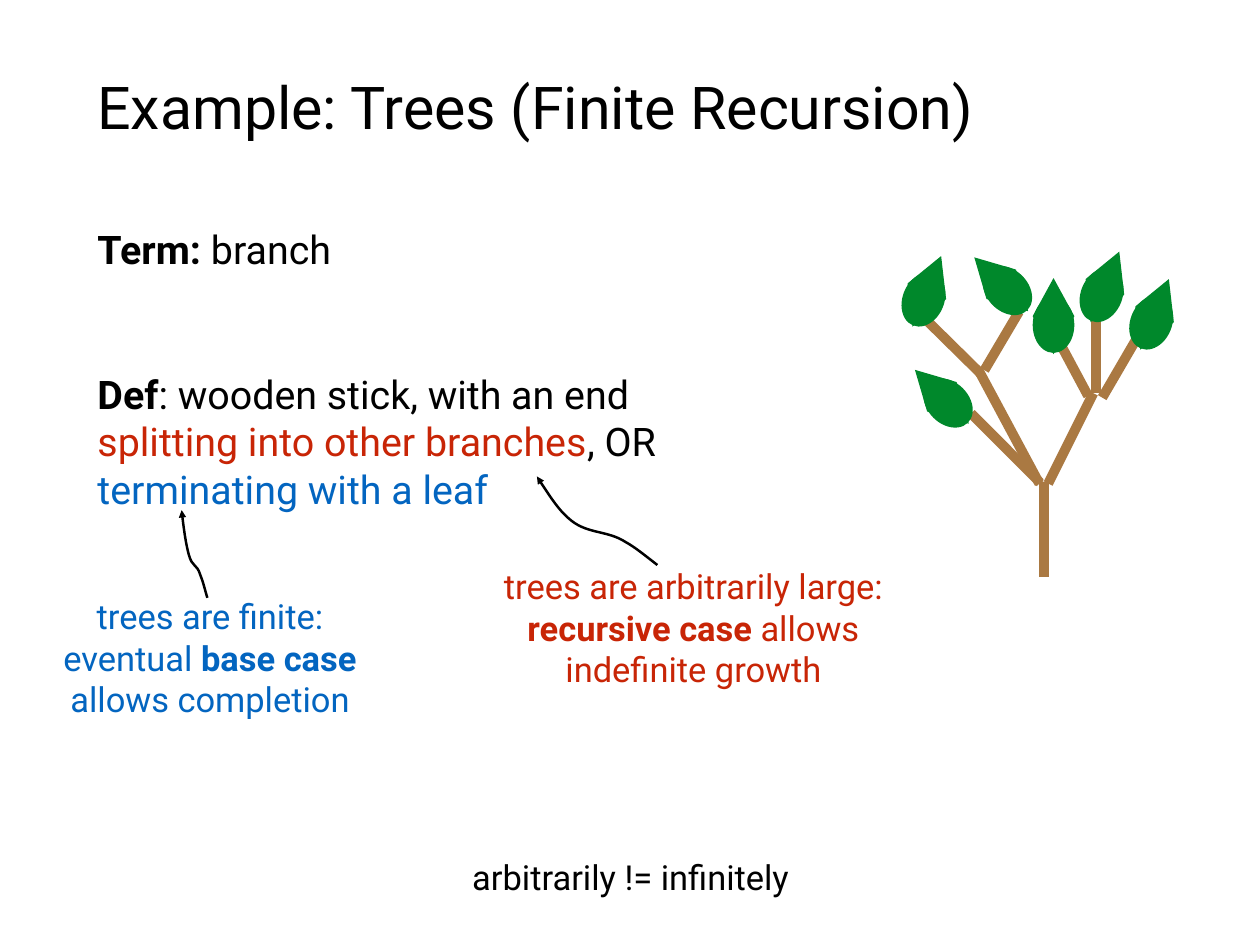
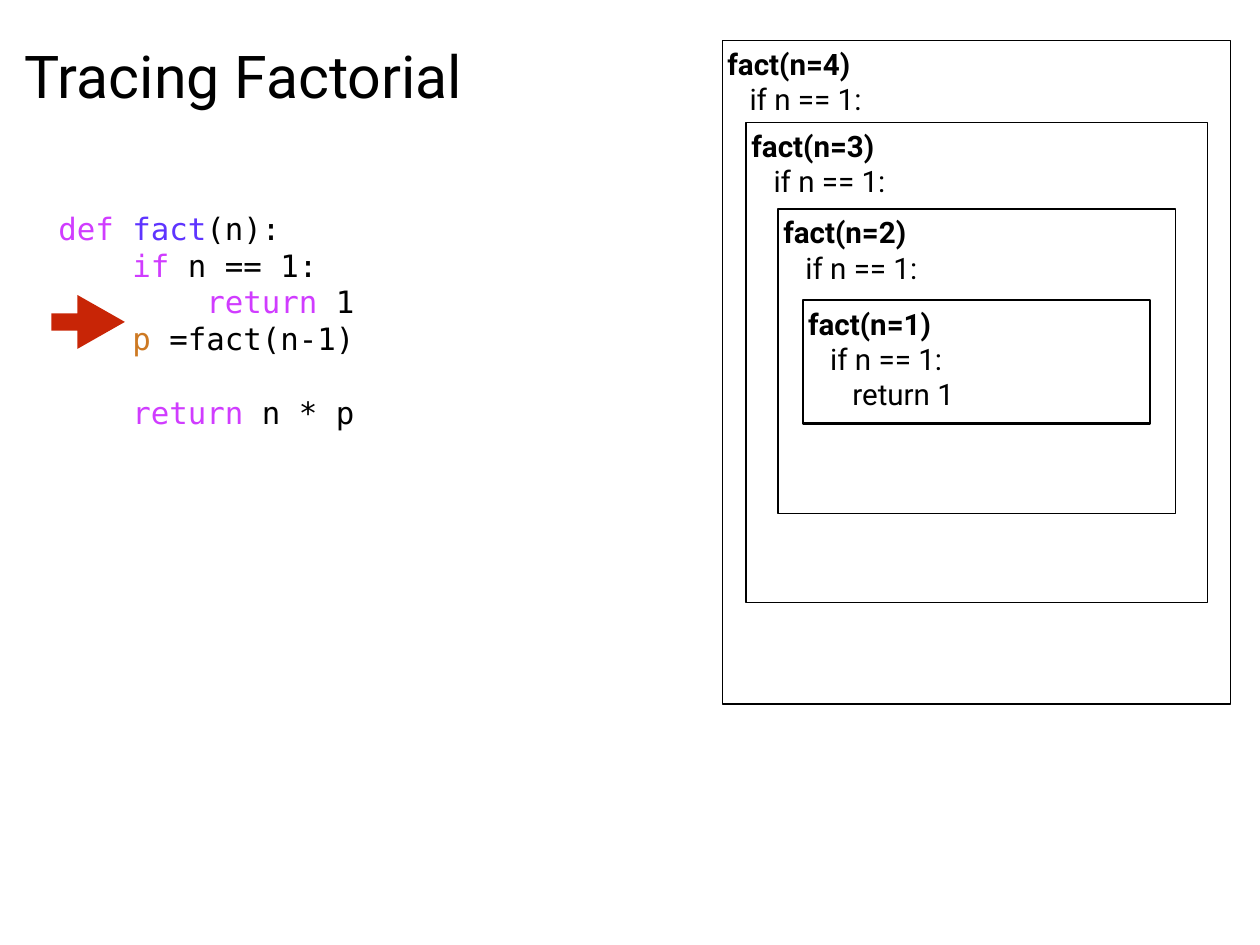
"""Build two slides on recursion: a tree definition and a factorial trace."""
from math import cos, radians, sin

from pptx import Presentation
from pptx.dml.color import RGBColor
from pptx.enum.shapes import MSO_CONNECTOR, MSO_SHAPE
from pptx.enum.text import MSO_ANCHOR, PP_ALIGN
from pptx.oxml.ns import qn
from pptx.oxml.xmlchemy import OxmlElement
from pptx.util import Inches, Pt

TOP, MID = MSO_ANCHOR.TOP, MSO_ANCHOR.MIDDLE
LEFT, MIDST = PP_ALIGN.LEFT, PP_ALIGN.CENTER
RECT, OVAL = MSO_SHAPE.RECTANGLE, MSO_SHAPE.OVAL
KITE, ARROW = MSO_SHAPE.DIAMOND, MSO_SHAPE.RIGHT_ARROW
LINE = MSO_CONNECTOR.STRAIGHT

THEME = {
    "ink": "000000", "paper": "FFFFFF", "red": "C82506", "blue": "0365C0",
    "wood": "AA7942", "leaf": "00882B", "key": "D03CFF", "name": "5E34FF",
    "var": "CD7923",
    "sans": "Roboto", "mono": "DejaVu Sans Mono",
    "title": 48, "body": 32, "note": 28, "frame": 24, "code": 25,
    "pitch": 30, "pad": 0.06,
}

TREE_TITLE = ("Example: Trees (Finite Recursion)", (1.04, 0.49, 12.14, 1.41))
TRACE_TITLE = ("Tracing Factorial", (0.22, 0.14, 6.48, 1.41))

TERM = [[("Term: ", "ink", True), ("branch", "ink")]]
DEF = [[
    ("Def", "ink", True), (": wooden stick, with an end ", "ink"),
    ("splitting into other branches", "red"), (", OR ", "ink"),
    ("terminating with a leaf", "blue"),
]]
LARGE = [
    [("trees are arbitrarily large:", "red")],
    [("recursive case", "red", True), (" allows", "red")],
    [("indefinite growth", "red")],
]
FINITE = [
    [("trees are finite:", "blue")],
    [("eventual ", "blue"), ("base case", "blue", True)],
    [("allows completion", "blue")],
]
MORAL = [[("arbitrarily != infinitely", "ink")]]

BODY = [(TERM, (1.04, 2.48, 12.14, 0.88)), (DEF, (1.04, 4.12, 6.72, 1.78))]
NOTES = [
    (LARGE, (4.07, 6.32, 7.51, 1.53), True),
    (FINITE, (0.42, 6.66, 3.9, 1.53), True),
    (MORAL, (5.24, 9.61, 3.75, 0.58), False),
]
BRANCHES = [
    (11.78, 6.51, 11.78, 5.44), (11.83, 5.46, 12.34, 4.44),
    (11.73, 5.46, 11.06, 4.21), (11.07, 4.22, 10.4, 3.56),
    (11.11, 4.18, 11.5, 3.52), (12.44, 4.49, 12.83, 3.82),
    (12.28, 4.47, 11.97, 3.89), (12.37, 4.44, 12.37, 3.59),
    (11.74, 5.45, 10.96, 4.67),
]
LEAVES = [
    (13.03, 3.55, 22.1), (12.47, 3.24, 22.1), (11.3, 3.21, 315),
    (11.89, 3.57, 0), (10.46, 3.29, 22.1), (10.63, 4.48, 315),
]
LEAF_W, TIP_H, OVAL_H, DROP = 0.47, 0.86, 0.63, 0.1
CURVES = [
    [(7.42, 6.38), (7.29, 6.28), (7.17, 6.18), (7.06, 6.12), (6.86, 5.99),
     (6.64, 6.03), (6.45, 5.88), (6.32, 5.78), (6.19, 5.58), (6.06, 5.38)],
    [(2.34, 6.75), (2.31, 6.65), (2.29, 6.56), (2.26, 6.49), (2.22, 6.36),
     (2.17, 6.41), (2.13, 6.26), (2.1, 6.15), (2.07, 5.95), (2.05, 5.76)],
]

CODE = [
    [("def ", "key"), ("fact", "name"), ("(n):", "ink")],
    [("    ", "ink"), ("if", "key"), (" n == 1:", "ink")],
    [("        ", "ink"), ("return", "key"), (" 1", "ink")],
    [("    ", "ink"), ("p", "var"), (" =fact(n-1)", "ink")],
    [("    ", "ink"), ("return", "key"), (" n * p", "ink")],
]
CODE_BOX = (0.6, 2.55, 6.84, 2.13)
POINTER = (0.58, 3.33, 0.83, 0.61)
FRAMES = [
    (4, (8.15, 0.46, 5.74, 7.49), 1), (3, (8.42, 1.38, 5.21, 5.42), 1),
    (2, (8.78, 2.36, 4.49, 3.44), 1), (1, (9.06, 3.39, 3.92, 1.39), 2),
]
STEP = 0.25


def color(key):
    return RGBColor.from_string(THEME[key])


def inches(nums):
    return [Inches(n) for n in nums]


def write(shape, paras, size, face="sans", align=LEFT, anchor=TOP, wrap=True):
    """Fill a shape with paragraphs of (text, colour, bold) runs."""
    frame = shape.text_frame
    pad = Inches(THEME["pad"])
    look = {"word_wrap": wrap, "vertical_anchor": anchor, "margin_left": pad,
            "margin_right": pad, "margin_top": pad, "margin_bottom": pad}
    for key, val in look.items():
        setattr(frame, key, val)
    for i, runs in enumerate(paras):
        para = frame.add_paragraph() if i else frame.paragraphs[0]
        para.alignment = align
        for text, tint, *bold in runs:
            run = para.add_run()
            run.text = text
            form = {"size": Pt(THEME[size]), "name": THEME[face],
                    "bold": bool(bold)}
            for key, val in form.items():
                setattr(run.font, key, val)
            run.font.color.rgb = color(tint)
    return frame.paragraphs


def label(slide, paras, box, size, **form):
    return write(slide.shapes.add_textbox(*inches(box)), paras, size, **form)


def title(slide, text, box):
    label(slide, [[(text, "ink")]], box, "title", anchor=MID)


def block(shapes, kind, box, fill, line=0, turn=0):
    """Add a flat preset shape."""
    shape = shapes.add_shape(kind, *inches(box))
    shape.shadow.inherit = False
    shape.fill.solid()
    shape.fill.fore_color.rgb = color(fill)
    shape.rotation = turn
    if line:
        shape.line.color.rgb = color("ink")
        shape.line.width = Pt(line)
    else:
        shape.line.fill.background()
    return shape


def branch(slide, ends):
    wire = slide.shapes.add_connector(LINE, *inches(ends))
    wire.line.color.rgb = color("wood")
    wire.line.width = Pt(8)
    wire._element.spPr.append(OxmlElement("a:effectLst"))


def leaf(slide, x, y, turn):
    """Join a pointed tip and a round base, both turned about the tip."""
    group = slide.shapes.add_group_shape()
    angle = radians(turn)
    base = (x - DROP * sin(angle), y + DROP * cos(angle))
    for kind, (mx, my), high in ((KITE, (x, y), TIP_H), (OVAL, base, OVAL_H)):
        box = (mx - LEAF_W / 2, my - high / 2, LEAF_W, high)
        block(group.shapes, kind, box, "leaf", turn=turn)


def curve(slide, dots):
    """Draw a Bezier arrow through every third dot."""
    first, *rest = [inches(dot) for dot in dots]
    pen = slide.shapes.build_freeform(*first, scale=1.0)
    pen.add_line_segments(rest, close=False)
    shape = pen.convert_to_shape()
    shape.shadow.inherit = False
    shape.fill.background()
    shape.line.color.rgb = color("ink")
    shape.line.width = Pt(2)
    tail = OxmlElement("a:tailEnd")
    tail.set("type", "triangle")
    shape.line._get_or_add_ln().append(tail)
    way = shape._element.xpath(".//a:path")[0]
    parts = way.findall(qn("a:lnTo"))
    for i in range(0, len(parts), 3):
        bend = OxmlElement("a:cubicBezTo")
        for part in parts[i:i + 3]:
            bend.append(part[0])
            way.remove(part)
        way.append(bend)


def call(slide, n, box, line):
    """Draw one stack frame of the factorial call."""
    lines = [f"fact(n={n})", "if n == 1:"] + ["return 1"] * (n == 1)
    paras = [[(text, "ink") if i else (text, "ink", True)]
             for i, text in enumerate(lines)]
    shape = block(slide.shapes, RECT, box, "paper", line)
    for i, para in enumerate(write(shape, paras, "frame")):
        para.level = i
        props = para._p.get_or_add_pPr()
        props.set("marL", "0")
        props.set("indent", str(Inches(STEP * i)))


def tree(slide):
    title(slide, *TREE_TITLE)
    for paras, box in BODY:
        label(slide, paras, box, "body")
    for ends in BRANCHES:
        branch(slide, ends)
    for spot in LEAVES:
        leaf(slide, *spot)
    for paras, box, wrap in NOTES:
        label(slide, paras, box, "note", align=MIDST, anchor=MID, wrap=wrap)
    for dots in CURVES:
        curve(slide, dots)


def trace(slide):
    title(slide, *TRACE_TITLE)
    rows = label(slide, CODE, CODE_BOX, "code", face="mono", anchor=MID)
    for row in rows:
        row.line_spacing = Pt(THEME["pitch"])
    rows[-1].space_before = Pt(THEME["pitch"])
    arrow = block(slide.shapes, ARROW, POINTER, "red")
    arrow.adjustments[0], arrow.adjustments[1] = 0.32, 0.88
    for spot in FRAMES:
        call(slide, *spot)


def main():
    deck = Presentation()
    deck.slide_width, deck.slide_height = inches((14.22, 10.67))
    for draw in (tree, trace):
        draw(deck.slides.add_slide(deck.slide_layouts[6]))
    deck.save("out.pptx")


if __name__ == "__main__":
    main()
